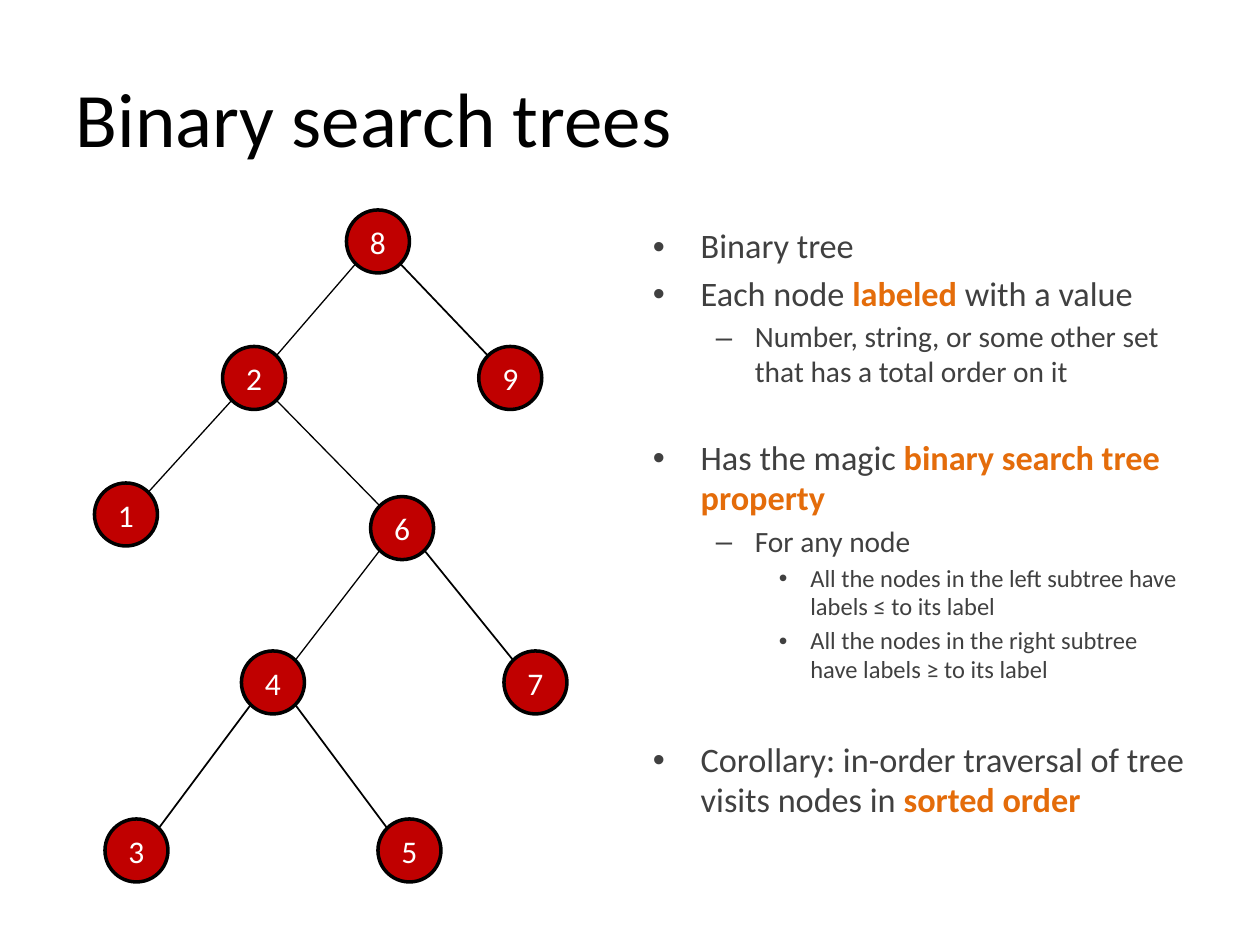
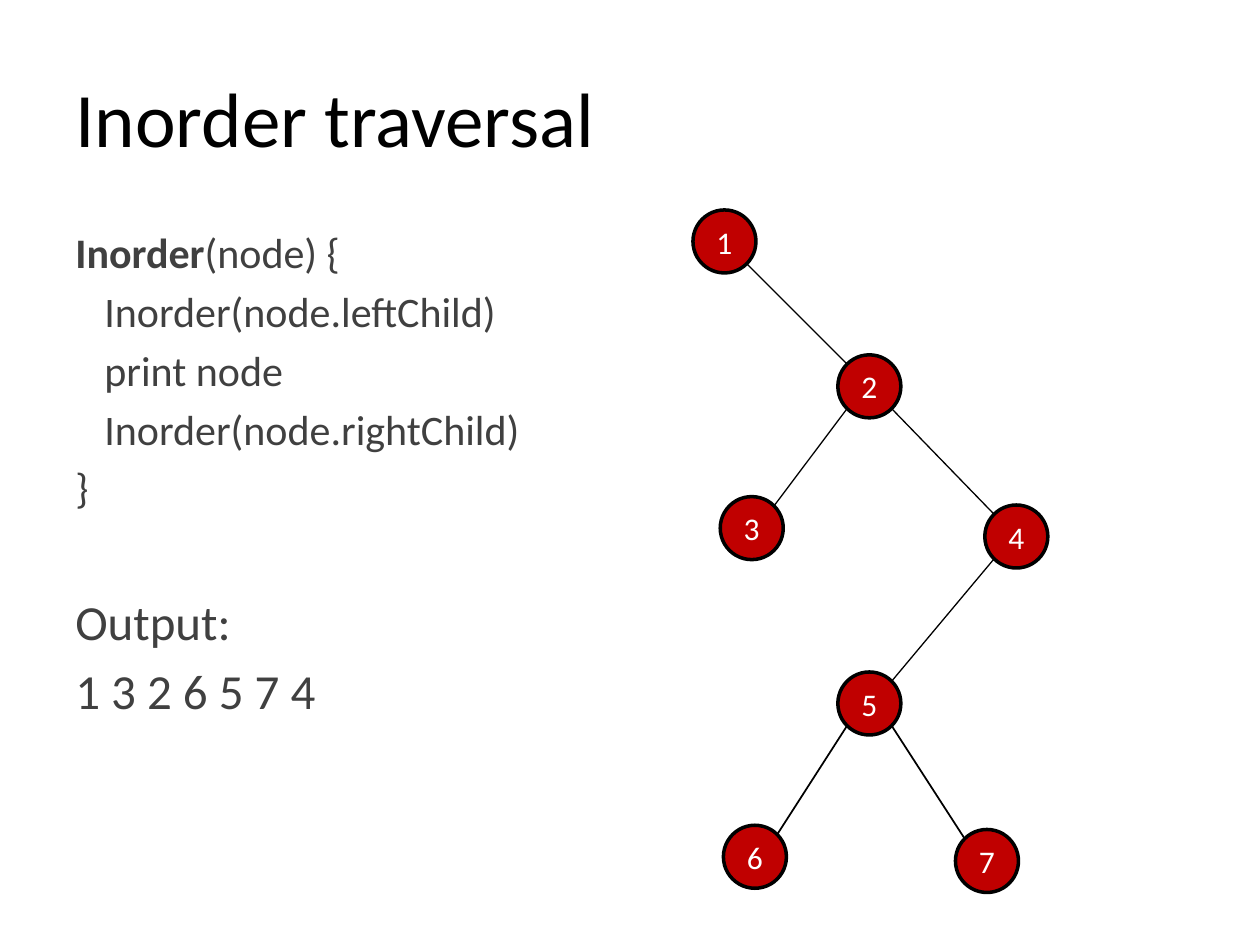
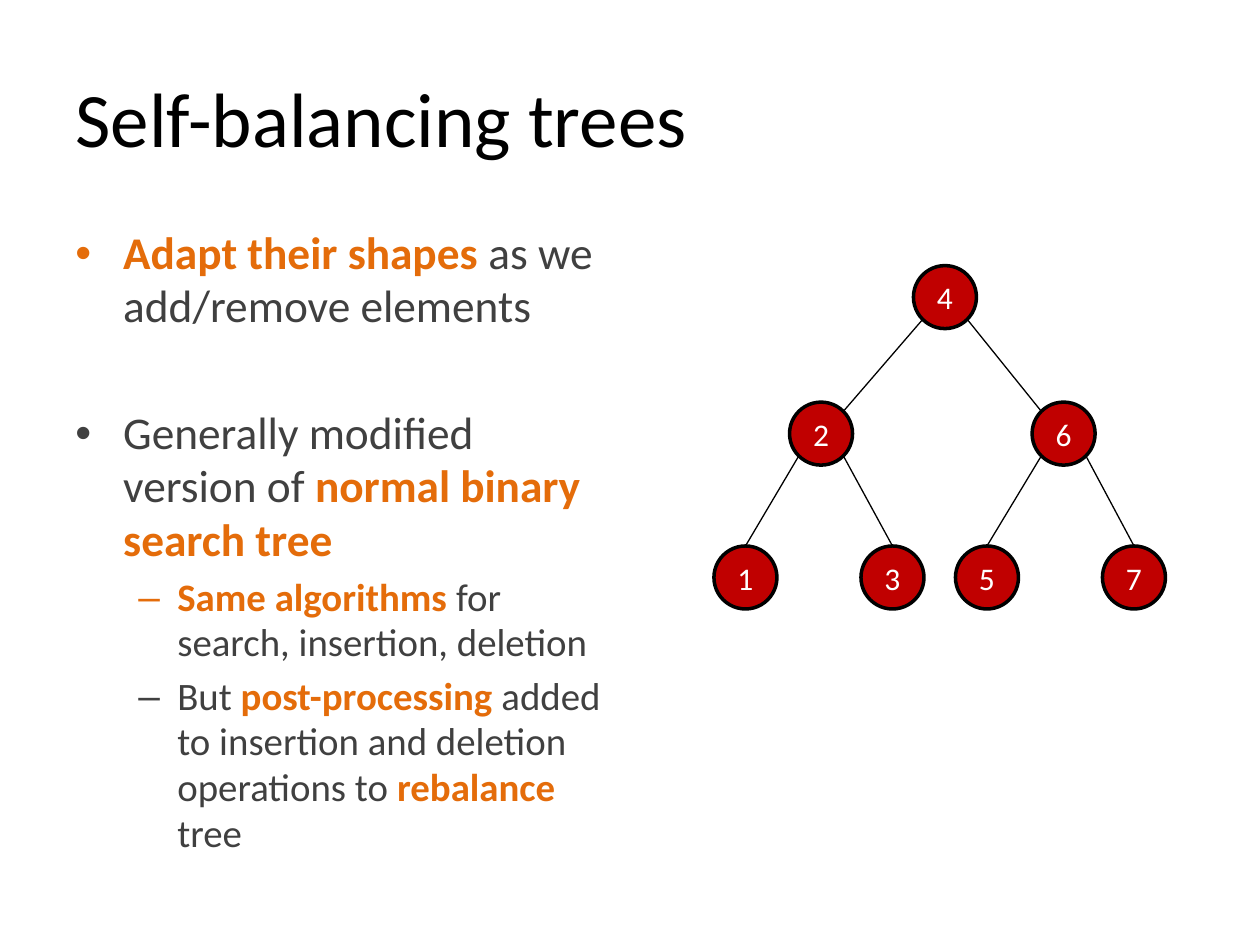
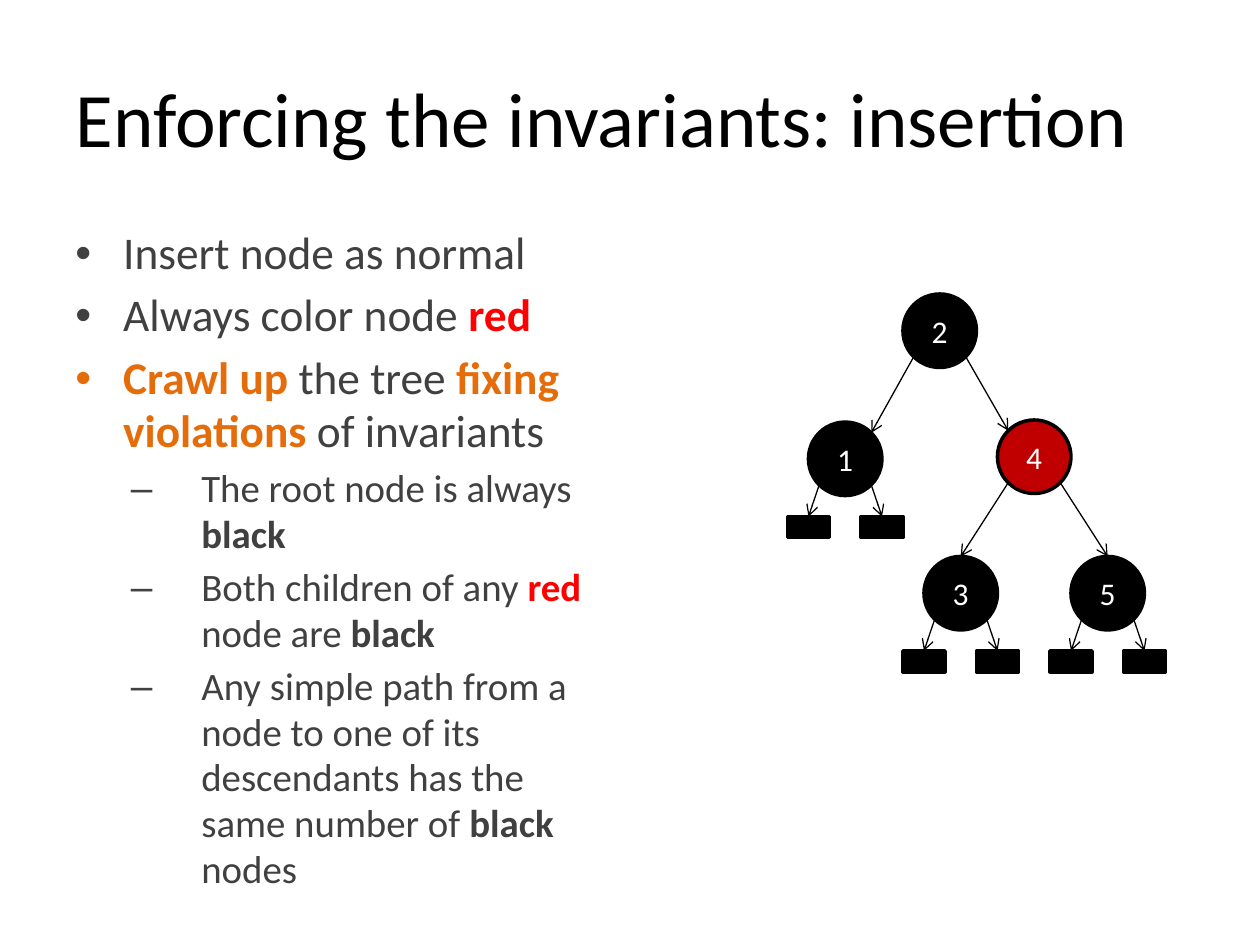
from lxml.etree import SubElement
from pptx import Presentation
from pptx.dml.color import RGBColor
from pptx.enum.shapes import MSO_CONNECTOR as CONN, MSO_SHAPE as SHAPE
from pptx.enum.text import MSO_ANCHOR as ANCHOR, PP_ALIGN as ALIGN
from pptx.oxml.ns import qn
from pptx.util import Inches, Pt

FONT = "Calibri"
BLACK, WHITE, GREY = "000000", "FFFFFF", "404040"
ORANGE, RED, NODE_RED = "E46C0A", "FF0000", "C00000"
COLS, ROWS = 120, 90
DIAGONAL = 0.5 ** 0.5
TITLE_BOX = (6, 3.6, 108, 15)
LEFT_BOX, RIGHT_BOX, TALL_BOX = (6, 21, 53, 59.4), (61, 21, 53, 59.4), (6, 21, 53, 66)
BULLET, DASH, SUB, WIDE_DASH = ((0.38, -0.38, "•"), (0.81, -0.31, "–"),
                                (1.25, -0.25, "•"), (1, -0.56, "–"))
PLAIN, CODE = (0, 0, None), (0.23, 0, None)

prs = Presentation()
prs.slide_width, prs.slide_height = Inches(10), Inches(7.5)


def rgb(value):
    """Turn a hex string into a colour."""
    return RGBColor.from_string(value)


def cells(*values):
    """Turn alternating columns and rows of the slide grid into lengths."""
    units = prs.slide_width / COLS, prs.slide_height / ROWS
    return [int(v * units[i % 2]) for i, v in enumerate(values)]


def add_run(p, text, size, color, bold=False):
    """Append one formatted run to a paragraph."""
    r = p.add_run()
    r.text = text
    r.font.name, r.font.size, r.font.bold = FONT, Pt(size), bold
    r.font.color.rgb = rgb(color)


def add_slide(title):
    """Start a slide with a left-aligned title."""
    slide = prs.slides.add_slide(prs.slide_layouts[5])
    sp = slide.shapes.title
    sp.left, sp.top, sp.width, sp.height = cells(*TITLE_BOX)
    sp.text_frame.vertical_anchor = ANCHOR.MIDDLE
    p = sp.text_frame.paragraphs[0]
    p.alignment = ALIGN.LEFT
    add_run(p, title, 44, BLACK)
    return slide


def set_level(p, level):
    """Give a paragraph its indents and bullet."""
    margin, indent, mark = level
    pPr = p._p.get_or_add_pPr()
    pPr.set("marL", str(Inches(margin)))
    pPr.set("indent", str(Inches(indent)))
    if mark:
        SubElement(pPr, qn("a:buFont")).set("typeface", "Arial")
        SubElement(pPr, qn("a:buChar")).set("char", mark)


def add_body(slide, box, paragraphs, spacing=None):
    """Write (level, size, gap, runs) paragraphs; a tuple run is (bold text, colour)."""
    tf = slide.shapes.add_textbox(*cells(*box)).text_frame
    tf.word_wrap = True
    for i, (level, size, gap, runs) in enumerate(paragraphs):
        p = tf.add_paragraph() if i else tf.paragraphs[0]
        p.space_before = Pt(round(0.2 * size + 1.42 * gap, 1))
        p.line_spacing = spacing
        set_level(p, level)
        for run in runs:
            if isinstance(run, tuple):
                add_run(p, run[0], size, run[1], True)
            else:
                add_run(p, run, size, GREY)


def add_block(slide, kind, box, fill):
    """Draw a filled shape with the heavy black outline."""
    sp = slide.shapes.add_shape(kind, *cells(*box))
    sp.shadow.inherit = False
    sp.fill.solid()
    sp.fill.fore_color.rgb = rgb(fill)
    sp.line.color.rgb = rgb(BLACK)
    sp.line.width = Pt(2)
    return sp


def add_edge(slide, start, end, width=0.75, arrow=False):
    """Draw a black line between two grid points."""
    line = slide.shapes.add_connector(CONN.STRAIGHT, *cells(*start, *end))
    line.line.color.rgb = rgb(BLACK)
    line.line.width = Pt(width)
    if arrow:
        SubElement(line.line._get_or_add_ln(), qn("a:tailEnd")).set("type", "arrow")
    SubElement(line._element.spPr, qn("a:effectLst"))


def add_tree(slide, origin, nodes, size=6, heavy="", tops="", black="", arrow=False):
    """Draw nodes given as label: (x, y, parent); black leaves in `black` get nil boxes."""
    radius = size / 2
    reach = radius * DIAGONAL
    centres = {k: (origin[0] + x + radius, origin[1] + y + radius)
               for k, (x, y, _) in nodes.items()}
    for label, (cx, cy) in centres.items():
        sp = add_block(slide, SHAPE.OVAL, (cx - radius, cy - radius, size, size),
                       BLACK if label in black else NODE_RED)
        sp.text_frame.vertical_anchor = ANCHOR.MIDDLE
        p = sp.text_frame.paragraphs[0]
        p.alignment = ALIGN.CENTER
        add_run(p, label, 18, WHITE)
    parents = {parent for _, _, parent in nodes.values()}
    for label, (cx, cy) in centres.items():
        parent = nodes[label][2]
        if parent:
            px, py = centres[parent]
            side = reach if cx > px else -reach
            end = (cx, cy - radius) if label in tops else (cx - side, cy - reach)
            add_edge(slide, (px + side, py + reach), end,
                     1 if label in heavy else 0.75, arrow)
        if label in black and label not in parents:
            add_nils(slide, cx, cy, radius, reach)


def add_nils(slide, cx, cy, radius, reach):
    """Hang the two black nil boxes under a leaf."""
    top = cy + radius + 2
    for side in (-1, 1):
        x = cx + side * radius
        add_block(slide, SHAPE.RECTANGLE, (x - 2, top, 4, 2), BLACK)
        add_edge(slide, (cx + side * reach, cy + reach), (x, top), arrow=True)


def search_tree_slide():
    """Binary search tree and its property."""
    slide = add_slide("Binary search trees")
    add_body(slide, RIGHT_BOX, [
        (BULLET, 19.6, 0, ["Binary tree"]),
        (BULLET, 19.6, 0, ["Each node ", ("labeled ", ORANGE), "with a value"]),
        (DASH, 16.8, 0, ["Number, string, or some other set that has a total order on it"]),
        (BULLET, 19.6, 16.8, ["Has the magic ", ("binary search tree property", ORANGE)]),
        (DASH, 16.8, 0, ["For any node"]),
        (SUB, 14, 0, ["All the nodes in the left subtree have labels ≤ to its label"]),
        (SUB, 14, 0, ["All the nodes in the right subtree have labels ≥ to its label"]),
        (BULLET, 19.6, 19.6, ["Corollary: in-order traversal of tree visits nodes in ",
                              ("sorted order", ORANGE)]),
    ], 0.98)
    add_tree(slide, (9, 20), {
        "8": (24, 0, ""), "2": (12.2, 13, "8"), "9": (36.6, 13, "8"),
        "1": (0, 26, "2"), "6": (26.3, 27.3, "2"), "4": (14, 42, "6"),
        "7": (39, 42, "6"), "3": (1, 58, "4"), "5": (27, 58, "4"),
    }, heavy="3579")


def traversal_slide():
    """Inorder pseudocode beside an example tree."""
    slide = add_slide("Inorder traversal")
    add_body(slide, LEFT_BOX, [
        (PLAIN, 24, 0, [("Inorder", GREY), "(node) {"]),
        (CODE, 24, 0, ["Inorder(node.leftChild)"]),
        (CODE, 24, 0, ["print node"]),
        (CODE, 24, 0, ["Inorder(node.rightChild)"]),
        (PLAIN, 24, 0, ["}"]),
        (PLAIN, 28, 28, ["Output:"]),
        (PLAIN, 28, 0, ["1 3 2 6 5 7 4"]),
    ])
    add_tree(slide, (66, 20), {
        "1": (0, 0, ""), "2": (13.8, 13.8, "1"), "3": (2.6, 27.3, "2"),
        "4": (27.8, 28.1, "2"), "5": (13.8, 44, "4"),
        "6": (2.9, 58.6, "5"), "7": (25, 59, "5"),
    }, heavy="67")


def balancing_slide():
    """Self-balancing trees and a balanced example."""
    slide = add_slide("Self-balancing trees")
    add_body(slide, LEFT_BOX, [
        (BULLET, 25.9, 0, [("Adapt their shapes ", ORANGE), "as we add/remove elements"]),
        (BULLET, 25.9, 25.9, ["Generally modified version of ",
                              ("normal binary search tree", ORANGE)]),
        (DASH, 22.2, 0, [("Same algorithms ", ORANGE), "for search, insertion, deletion"]),
        (DASH, 22.2, 0, ["But ", ("post-processing", ORANGE),
                         " added to insertion and deletion operations to ",
                         ("rebalance ", ORANGE), "tree"]),
    ], 0.98)
    add_tree(slide, (68, 25.3), {
        "4": (19, 0, ""), "2": (7.2, 13, "4"), "6": (30.3, 13, "4"),
        "1": (0, 26.7, "2"), "3": (14, 26.7, "2"),
        "5": (23, 26.7, "6"), "7": (37, 26.7, "6"),
    }, tops="1357")


def insertion_slide():
    """Red-black insertion rules and example."""
    slide = add_slide("Enforcing the invariants: insertion")
    add_body(slide, TALL_BOX, [
        (BULLET, 25.9, 0, ["Insert node as normal"]),
        (BULLET, 25.9, 0, ["Always color node ", ("red", RED)]),
        (BULLET, 25.9, 0, [("Crawl up ", ORANGE), "the tree ",
                           ("fixing violations ", ORANGE), "of invariants"]),
        (WIDE_DASH, 22.2, 0, ["The root node is always ", ("black", GREY)]),
        (WIDE_DASH, 22.2, 0, ["Both children of any ", ("red ", RED), "node are ",
                              ("black", GREY)]),
        (WIDE_DASH, 22.2, 0, ["Any simple path from a node to one of its descendants "
                              "has the same number of ", ("black ", GREY), "nodes"]),
    ], 0.98)
    add_tree(slide, (75, 28), {
        "2": (11, 0, ""), "1": (2, 12.2, "2"), "4": (20, 12, "2"),
        "3": (13, 25, "4"), "5": (27, 25, "4"),
    }, size=7, tops="35", black="1235", arrow=True)


search_tree_slide()
traversal_slide()
balancing_slide()
insertion_slide()
prs.save("out.pptx")
